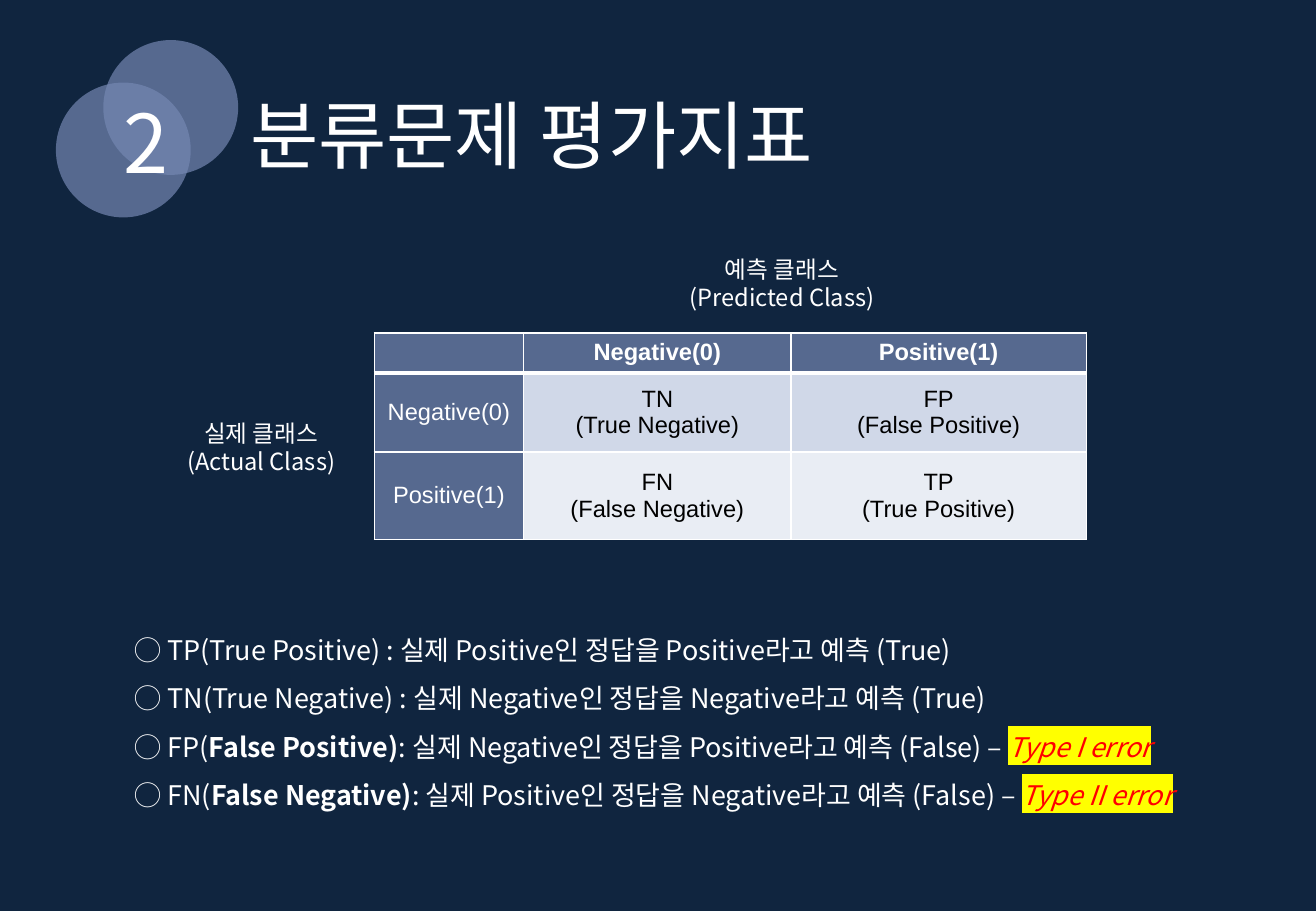
"""Build a slide that explains the confusion matrix of a classifier."""
from dataclasses import dataclass

from lxml import etree
from pptx import Presentation, util as u
from pptx.dml.color import RGBColor
from pptx.enum import shapes, text
from pptx.oxml import ns

NAVY = RGBColor(0x10, 0x25, 0x3F)
CIRCLE_BLUE = RGBColor(0x74, 0x87, 0xB2)
HEADER_BLUE = RGBColor(0x56, 0x69, 0x8F)
BAND_DARK = RGBColor(0xD0, 0xD8, 0xE8)
BAND_LIGHT = RGBColor(0xE9, 0xED, 0xF4)
WHITE = RGBColor(0xFF, 0xFF, 0xFF)
BLACK = RGBColor(0x00, 0x00, 0x00)
RED = RGBColor(0xFF, 0x00, 0x00)
YELLOW = RGBColor(0xFF, 0xFF, 0x00)

KOREAN_FONT = "Noto Sans CJK KR"
TABLE_FONT = "Arial"
LEFT, CENTER = text.PP_ALIGN.LEFT, text.PP_ALIGN.CENTER


@dataclass(frozen=True)
class Part:
    """A stretch of text with its own style."""
    words: str
    bold: bool = False
    marked: bool = False


@dataclass(frozen=True)
class Label:
    """A text box with one style for all its paragraphs."""
    left: float
    top: float
    width: float
    height: float
    size: int
    lines: list[list[Part]]
    align: text.PP_ALIGN = CENTER
    spacing: float = 1.0


def plain(*lines: str) -> list[list[Part]]:
    """Turn strings into lines of one plain part each."""
    return [[Part(line)] for line in lines]


def error_line(short: str, name: str, actual: str, predicted: str, kind: str) -> list[Part]:
    """Describe one kind of wrong prediction."""
    return [Part(f"◯ {short}("), Part(f"{name})", bold=True),
            Part(f": 실제 {actual}인 정답을 {predicted}라고 예측 (False) –\u00a0"),
            Part(f"{kind} error", marked=True)]


LABELS = [
    Label(0.65, 0.71, 1.11, 0.91, 48, plain("2")),
    Label(1.96, 0.69, 5.77, 0.84, 44, plain("분류문제 평가지표"), LEFT),
    Label(5.06, 2.05, 2.75, 0.61, 14, plain("예측 클래스", "(Predicted Class)")),
    Label(1.3, 3.4, 1.7, 0.58, 14, plain("실제 클래스", "(Actual Class)")),
    Label(1.01, 5.03, 9.76, 1.99, 16, [
        *plain("◯ TP(True Positive) : 실제 Positive인 정답을 Positive라고 예측 (True)",
               "◯ TN(True Negative) : 실제 Negative인 정답을 Negative라고 예측 (True)"),
        error_line("FP", "False Positive", "Negative", "Positive", "Type I"),
        error_line("FN", "False Negative", "Positive", "Negative", "Type II"),
    ], LEFT, 1.5),
]

CIRCLE_SIZE = 1.11
CIRCLES = [(0.85, 0.33), (0.46, 0.68)]

COLUMN_WIDTHS = [1.23, 2.2, 2.43]
ROW_HEIGHTS = [0.33, 0.65, 0.72]
ROW_FILLS = [HEADER_BLUE, BAND_DARK, BAND_LIGHT]
MATRIX = [
    ["", "Negative(0)", "Positive(1)"],
    ["Negative(0)", "TN\n(True Negative)", "FP\n(False Positive)"],
    ["Positive(1)", "FN\n(False Negative)", "TP\n(True Positive)"],
]


def add_child(parent, tag: str, **attributes: str):
    """Append a DrawingML element and return it."""
    return etree.SubElement(parent, ns.qn(tag), attributes)


def add_circle(slide, left: float, top: float) -> None:
    """Draw one translucent circle."""
    shape = slide.shapes.add_shape(
        shapes.MSO_SHAPE.FLOWCHART_CONNECTOR, u.Inches(left), u.Inches(top),
        u.Inches(CIRCLE_SIZE), u.Inches(CIRCLE_SIZE))
    shape.shadow.inherit = False
    shape.fill.solid()
    shape.fill.fore_color.rgb = CIRCLE_BLUE
    color = shape.fill._xPr.find(".//" + ns.qn("a:srgbClr"))
    add_child(color, "a:alpha", val="70000")
    shape.line.fill.background()


def style_paragraph(paragraph, font: str, size: int, color: RGBColor, align: text.PP_ALIGN) -> None:
    """Set the alignment and the font of a whole paragraph."""
    paragraph.alignment = align
    paragraph.font.name = font
    paragraph.font.size = u.Pt(size)
    paragraph.font.color.rgb = color
    add_child(paragraph.font._rPr, "a:ea", typeface=font)


def add_part(paragraph, part: Part) -> None:
    """Add one run, highlighted where it is marked."""
    run = paragraph.add_run()
    run.text = part.words
    if part.bold:
        run.font.bold = True
    if part.marked:
        run.font.italic = True
        run.font.color.rgb = RED
        highlight = add_child(run.font._rPr, "a:highlight")
        add_child(highlight, "a:srgbClr", val=str(YELLOW))


def add_label(slide, label: Label) -> None:
    """Draw one text box."""
    box = slide.shapes.add_textbox(u.Inches(label.left), u.Inches(label.top),
                                   u.Inches(label.width), u.Inches(label.height))
    frame = box.text_frame
    frame.word_wrap = True
    for index, line in enumerate(label.lines):
        paragraph = frame.add_paragraph() if index else frame.paragraphs[0]
        style_paragraph(paragraph, KOREAN_FONT, label.size, WHITE, label.align)
        paragraph.line_spacing = label.spacing
        for part in line:
            add_part(paragraph, part)


def add_borders(cell, row: int) -> None:
    """Draw white cell borders, with a thick one below the header."""
    thick_side = {0: "B", 1: "T"}.get(row)
    for side in "LRTB":
        width = u.Pt(3 if side == thick_side else 1)
        line = add_child(cell._tc.get_or_add_tcPr(), f"a:ln{side}", w=str(width))
        add_child(add_child(line, "a:solidFill"), "a:srgbClr", val=str(WHITE))


def add_matrix(slide) -> None:
    """Draw the confusion matrix."""
    table = slide.shapes.add_table(
        len(MATRIX), len(COLUMN_WIDTHS), u.Inches(3.08), u.Inches(2.74),
        u.Inches(sum(COLUMN_WIDTHS)), u.Inches(sum(ROW_HEIGHTS))).table
    table.horz_banding = False
    for column, width in zip(table.columns, COLUMN_WIDTHS):
        column.width = u.Inches(width)
    for row, height in zip(table.rows, ROW_HEIGHTS):
        row.height = u.Inches(height)
    for row, words in enumerate(MATRIX):
        for column, content in enumerate(words):
            cell = table.cell(row, column)
            is_heading = row == 0 or column == 0
            add_borders(cell, row)
            cell.fill.solid()
            cell.fill.fore_color.rgb = HEADER_BLUE if is_heading else ROW_FILLS[row]
            if row:
                cell.vertical_anchor = text.MSO_ANCHOR.MIDDLE
            cell.text = content
            for paragraph in cell.text_frame.paragraphs:
                style_paragraph(paragraph, TABLE_FONT, 14, WHITE if is_heading else BLACK, CENTER)
                paragraph.font.bold = row == 0


def main() -> None:
    """Build and save the presentation."""
    presentation = Presentation()
    presentation.slide_width = u.Inches(10.83)
    presentation.slide_height = u.Inches(7.5)
    slide = presentation.slides.add_slide(presentation.slide_layouts[6])
    slide.background.fill.solid()
    slide.background.fill.fore_color.rgb = NAVY
    for left, top in CIRCLES:
        add_circle(slide, left, top)
    add_matrix(slide)
    for label in LABELS:
        add_label(slide, label)
    presentation.save("out.pptx")


if __name__ == "__main__":
    main()
